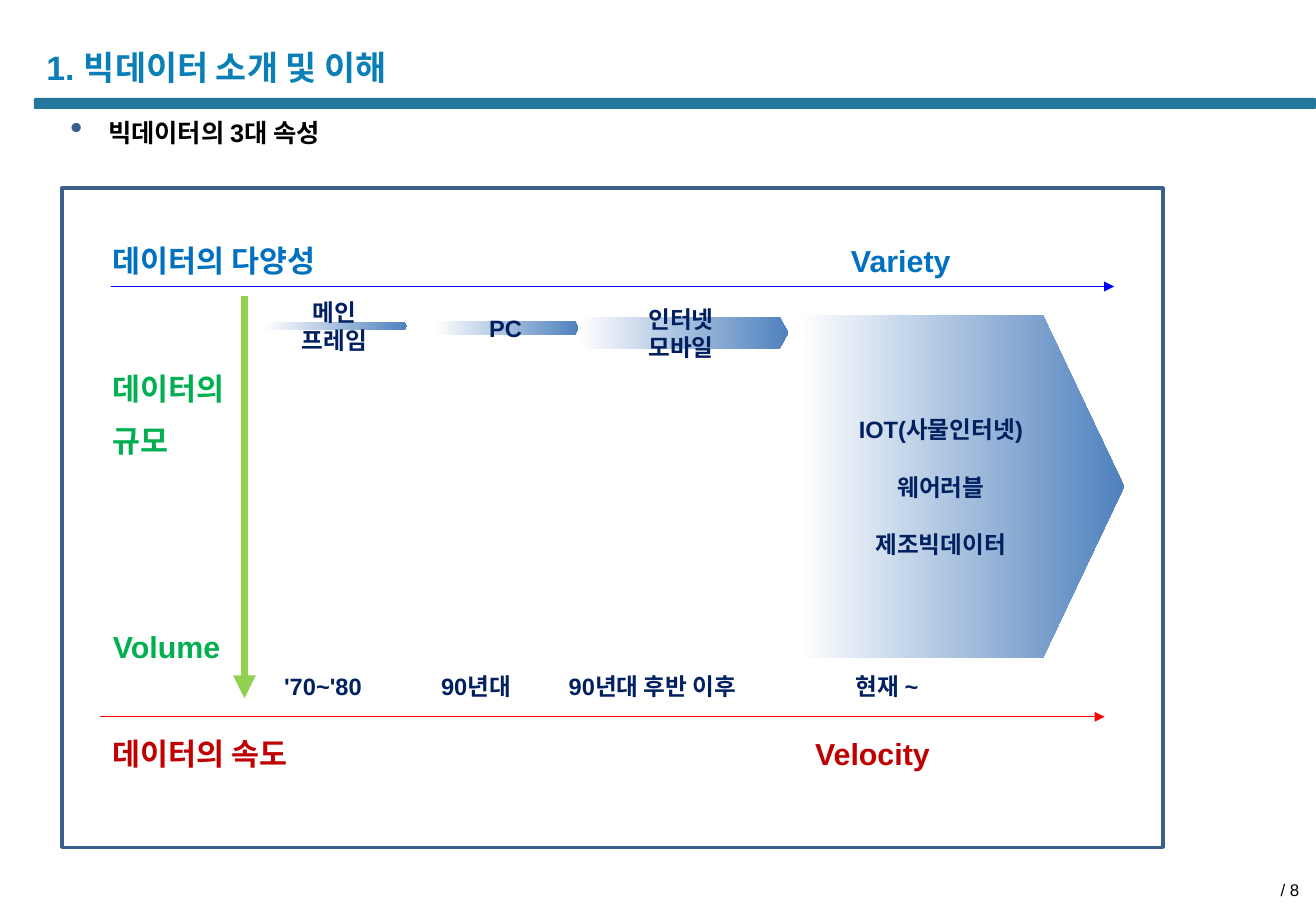
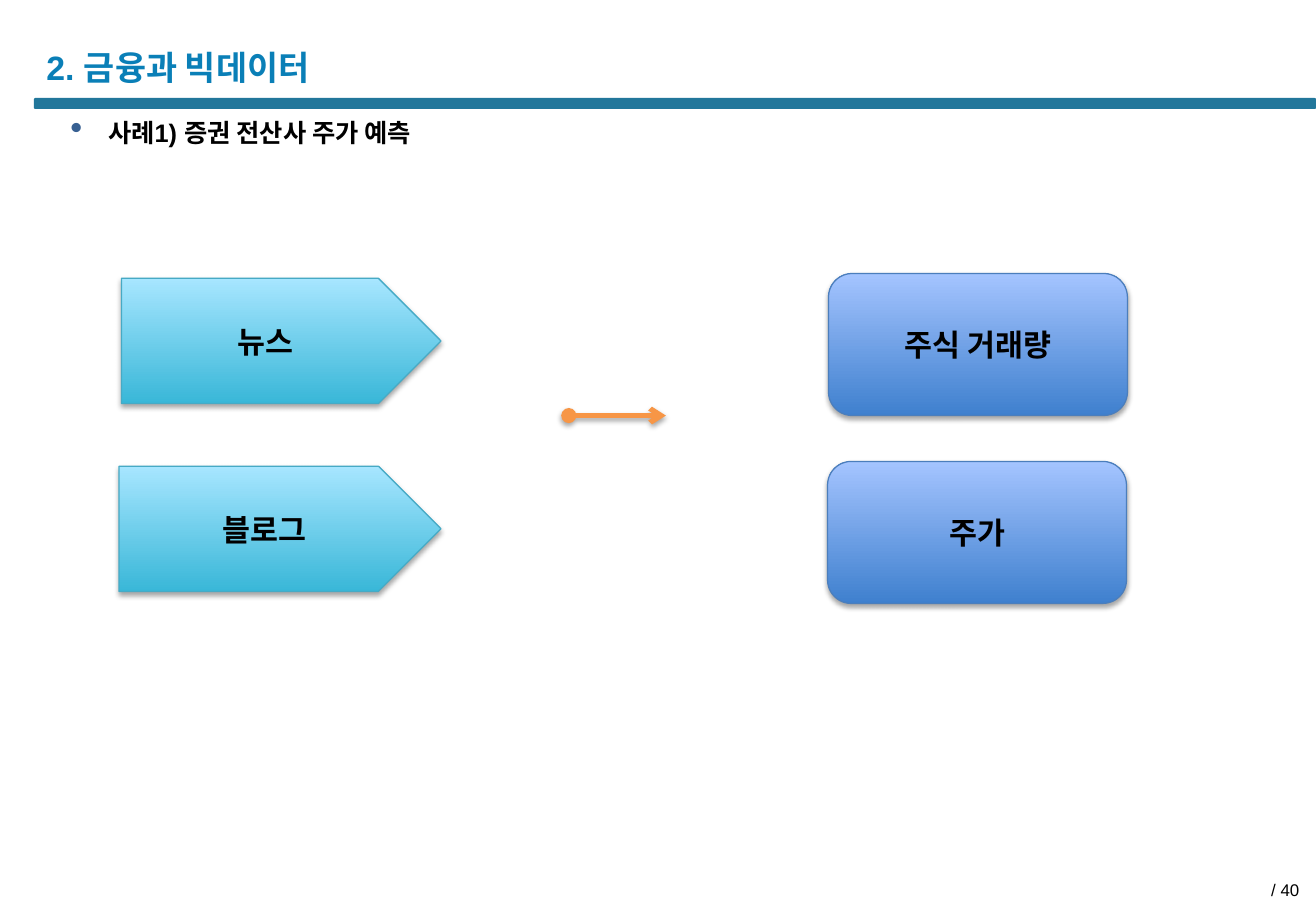
"""Build two slides on big data: its three properties and a finance case."""
from lxml.etree import SubElement
from pptx import Presentation
from pptx.dml.color import RGBColor
from pptx.enum.shapes import MSO_CONNECTOR as Link, MSO_SHAPE as Kind
from pptx.enum.text import MSO_ANCHOR as Anchor, PP_ALIGN as Align
from pptx.oxml.ns import qn
from pptx.util import Cm, Pt

FONT = "Arial"
TITLE, BAND, BULLET, FRAME = "0A7FB7", "22779B", "376092", "3A5F8C"
BLACK, WHITE, NAVY, STEEL = "000000", "FFFFFF", "002060", "4F81BD"
BLUE, GREEN, RED = "0070C0", "00B050", "C00000"

HEADS = [
    ("1. 빅데이터 소개 및 이해", "빅데이터의 3대 속성", "/ 8"),
    ("2. 금융과 빅데이터", "사례1) 증권 전산사 주가 예측", "/ 40"),
]
LABELS = [
    (["데이터의 다양성"], 2.11, 5.44, 18, BLUE),
    (["Variety"], 17.54, 5.44, 18, BLUE),
    (["데이터의", "규모"], 2.11, 8.67, 18, GREEN),
    (["Volume"], 2.11, 13.51, 18, GREEN),
    (["데이터의 속도"], 2.11, 15.76, 18, RED),
    (["Velocity"], 16.79, 15.76, 18, RED),
    (["'70~'80"], 5.69, 14.34, 14, NAVY),
    (["90년대"], 8.97, 14.34, 14, NAVY),
    (["90년대 후반 이후"], 11.64, 14.34, 14, NAVY),
    (["현재 ~"], 17.64, 14.34, 14, NAVY),
]
AXES = [
    ((2.1, 14.99, 23.09, 14.99), "FF0000", 0.75),
    ((2.31, 5.99, 23.29, 5.99), "0000FF", 0.75),
    ((5.11, 6.2, 5.11, 14.6), "92D050", 4.5),
]
STAGES = [
    (["IOT(사물인터넷)", "웨어러블", "제조빅데이터"], (16.69, 6.58, 6.81, 7.19), 0.25, 17),
    (["인터넷", "모바일"], (12.09, 6.63, 4.39, 0.66), 0.28, 0),
    (["PC"], (9.09, 6.71, 3, 0.3), 0.25, 0),
    (["메인", "프레임"], (5.51, 6.73, 3, 0.18), 0.35, 0),
]
SKY = ("39B7D8", "A7E6FF", "46AAC5")
ROYAL = ("3F80CE", "A4C4FF", "4B7EBC")
CARDS = [
    ("뉴스", Kind.PENTAGON, (2.54, 5.82, 6.68, 2.62), SKY),
    ("블로그", Kind.PENTAGON, (2.49, 9.75, 6.73, 2.62), SKY),
    ("주식 거래량", Kind.ROUNDED_RECTANGLE, (17.32, 5.72, 6.25, 2.97), ROYAL),
    ("주가", Kind.ROUNDED_RECTANGLE, (17.3, 9.65, 6.25, 2.97), ROYAL),
]


def rgb(code):
    """Turn a hex string into a colour."""
    return RGBColor.from_string(code)


def dot(par):
    """Give a paragraph a coloured bullet and a hanging indent."""
    props = par._p.get_or_add_pPr()
    props.set("marL", str(Cm(0.79)))
    props.set("indent", str(-Cm(0.79)))
    SubElement(SubElement(props, qn("a:buClr")), qn("a:srgbClr"), val=BULLET)
    SubElement(props, qn("a:buSzPct"), val="140000")
    SubElement(props, qn("a:buChar"), char="•")


def write(shape, lines, size, color, bold=True, align=Align.LEFT, gap=0, wrap=True, bullet=False):
    """Put one paragraph per line into a shape, centred in height."""
    frame = shape.text_frame
    frame.word_wrap = wrap
    frame.vertical_anchor = Anchor.MIDDLE
    frame.text = "\n".join(lines)
    for num, par in enumerate(frame.paragraphs):
        par.alignment = align
        if num and gap:
            par.space_before = Pt(gap)
        if bullet:
            dot(par)
        font = par.font
        font.name, font.size, font.bold = FONT, Pt(size), bold
        font.color.rgb = rgb(color)


def text(slide, box, lines, size, color, **style):
    """Add a text box."""
    area = slide.shapes.add_textbox(*map(Cm, box))
    write(area, lines, size, color, **style)
    return area.text_frame


def block(slide, kind, box, fill, line=None, width=0.75, angle=0):
    """Add a shape with a plain fill or a gradient of two colours."""
    shape = slide.shapes.add_shape(kind, *map(Cm, box))
    shape.shadow.inherit = False
    if isinstance(fill, str):
        shape.fill.solid()
        shape.fill.fore_color.rgb = rgb(fill)
    else:
        shape.fill.gradient()
        shape.fill.gradient_angle = angle
        for stop, color in zip(shape.fill.gradient_stops, fill):
            stop.color.rgb = rgb(color)
    if line:
        shape.line.color.rgb = rgb(line)
        shape.line.width = Pt(width)
    else:
        shape.line.fill.background()
    return shape


def arrow(slide, ends, color, width, **tips):
    """Add a straight line with the given end marks and no shadow."""
    line = slide.shapes.add_connector(Link.STRAIGHT, *map(Cm, ends))
    line.line.color.rgb = rgb(color)
    line.line.width = Pt(width)
    props = line.element.spPr
    for tag, mark in tips.items():
        SubElement(props.find(qn("a:ln")), qn(f"a:{tag}"), type=mark)
    SubElement(props, qn("a:effectLst"))
    return line


def shade(shape):
    """Give a shape a soft shadow below it."""
    root = shape.element.spPr.find(qn("a:effectLst"))
    cast = SubElement(root, qn("a:outerShdw"), blurRad=str(Pt(3.1)), dist=str(Pt(1.8)),
                      dir="5400000", rotWithShape="0")
    tone = SubElement(cast, qn("a:srgbClr"), val=BLACK)
    SubElement(tone, qn("a:alpha"), val="35000")


def base(deck, title, line, page):
    """Add a slide with band, title, topic and page mark."""
    slide = deck.slides.add_slide(deck.slide_layouts[6])
    band = block(slide, Kind.ROUNDED_RECTANGLE, (0.71, 2.05, 26.8, 0.23), BAND)
    band.adjustments[0] = 0.13
    text(slide, (0.72, 0.8, 16.3, 1.19), [title], 20, TITLE)
    topic = text(slide, (1.47, 2.44, 18.11, 0.64), [line], 15, BLACK, bullet=True)
    topic.margin_left = topic.margin_right = topic.margin_top = topic.margin_bottom = 0
    text(slide, (21.11, 18.32, 6.3, 0.58), [page], 10, BLACK, bold=False, align=Align.RIGHT)
    return slide


def traits(slide):
    """Draw the three properties over time."""
    block(slide, Kind.RECTANGLE, (1.3, 3.93, 23.01, 13.79), WHITE, FRAME, 2)
    for lines, left, mid, size, color in LABELS:
        text(slide, (left, mid - 0.5, 5.5, 1), lines, size, color, gap=9)
    for ends, color, width in AXES:
        arrow(slide, ends, color, width, tailEnd="triangle")
    for lines, box, point, gap in STAGES:
        stage = block(slide, Kind.PENTAGON, box, (WHITE, STEEL))
        stage.adjustments[0] = point
        write(stage, lines, 14, NAVY, align=Align.CENTER, gap=gap, wrap=False)


def case(slide):
    """Draw the sources and what they predict."""
    for name, kind, box, (low, high, edge) in CARDS:
        card = block(slide, kind, box, (low, high), edge, angle=90)
        shade(card)
        write(card, [name], 18, BLACK, align=Align.CENTER)
    shade(arrow(slide, (11.89, 8.69, 13.92, 8.69), "F79646", 3, headEnd="oval", tailEnd="arrow"))


def main():
    """Build and save the deck."""
    deck = Presentation()
    deck.slide_width, deck.slide_height = Cm(27.51), Cm(19.05)
    for head, draw in zip(HEADS, (traits, case)):
        draw(base(deck, *head))
    deck.save("out.pptx")


if __name__ == "__main__":
    main()
